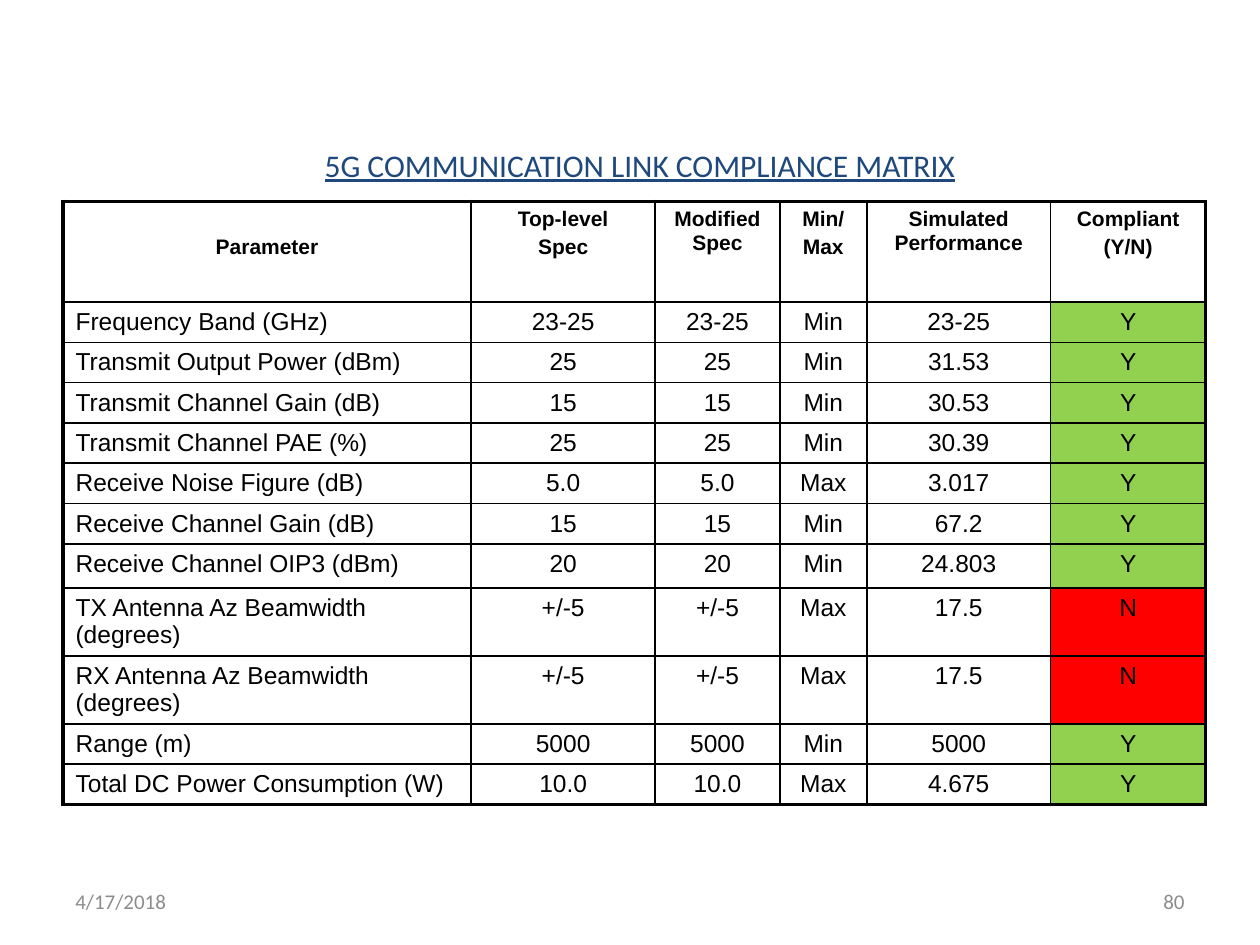
from typing import Any, NamedTuple

from lxml.etree import SubElement as Sub
from pptx import Presentation as Deck
from pptx.dml.color import RGBColor as Rgb
from pptx.enum.text import MSO_ANCHOR as Anchor, PP_ALIGN as Align
from pptx.oxml.ns import qn
from pptx.util import Inches, Pt

BLACK = Rgb(0x00, 0x00, 0x00)
NAVY = Rgb(0x1F, 0x49, 0x7D)
GRAY = Rgb(0x8C, 0x8C, 0x8C)
GREEN = Rgb(0x92, 0xD0, 0x50)
RED = Rgb(0xFF, 0x00, 0x00)

WIDE, HIGH = Inches(10), Inches(7.5)
COLS = (3.24, 1.46, 0.99, 0.69, 1.46, 1.23)
ROWS = (0.8, *[0.32] * 6, 0.35, 0.54, 0.54, 0.32, 0.32)
THIN, THICK = Pt(1), Pt(2.25)

TITLE = {"size": Pt(18), "name": "Calibri", "underline": True}
FOOT = {"size": Pt(12), "name": "Calibri"}
HEAD = {"size": Pt(12), "name": "Arial", "bold": True}
BODY = {"size": Pt(14), "name": "Arial", "bold": False}
INSET = {"margin_left": Inches(0.1), "margin_right": Inches(0.1),
         "margin_top": Inches(0.05), "margin_bottom": Inches(0.05)}


class Box(NamedTuple):
    left: float
    top: float
    width: float
    height: float

    def place(self) -> tuple[int, ...]:
        sides = (WIDE, HIGH, WIDE, HIGH)
        return tuple(round(part * side) for part, side in zip(self, sides))


class Spec(NamedTuple):
    name: str
    goal: str
    limit: str
    result: str
    passed: str = "Y"

    def cells(self) -> tuple[str, ...]:
        return (self.name, self.goal, self.goal, self.limit,
                self.result, self.passed)


class Note(NamedTuple):
    text: str
    box: Box
    align: Any


LABELS = ("Parameter", "Top-level\nSpec", "Modified Spec", "Min/\nMax",
          "Simulated Performance", "Compliant\n(Y/N)")
SPECS = (
    Spec("Frequency Band (GHz)", "23-25", "Min", "23-25"),
    Spec("Transmit Output Power (dBm)", "25", "Min", "31.53"),
    Spec("Transmit Channel Gain (dB)", "15", "Min", "30.53"),
    Spec("Transmit Channel PAE (%)", "25", "Min", "30.39"),
    Spec("Receive Noise Figure (dB)", "5.0", "Max", "3.017"),
    Spec("Receive Channel Gain (dB)", "15", "Min", "67.2"),
    Spec("Receive Channel OIP3 (dBm)", "20", "Min", "24.803"),
    Spec("TX Antenna Az Beamwidth (degrees)", "+/-5", "Max", "17.5", "N"),
    Spec("RX Antenna Az Beamwidth (degrees)", "+/-5", "Max", "17.5", "N"),
    Spec("Range (m)", "5000", "Min", "5000"),
    Spec("Total DC Power Consumption (W)", "10.0", "Max", "4.675"),
)
NOTES = (
    Note("4/17/2018", Box(0.05, 0.927, 0.233, 0.053), Align.LEFT),
    Note("80", Box(0.717, 0.927, 0.233, 0.053), Align.RIGHT),
)


def apply(item: Any, form: dict[str, Any]) -> None:
    for key, value in form.items():
        setattr(item, key, value)


def write(frame: Any, text: str, form: dict[str, Any], color: Rgb,
          align: Any) -> None:
    frame.text = text
    for num, para in enumerate(frame.paragraphs):
        para.alignment = align
        if num:
            para.space_before = Pt(2.4)
        for run in para.runs:
            apply(run.font, form)
            run.font.color.rgb = color


def border(cell: Any, row: int, col: int) -> None:
    edges = {"lnL": col == 0, "lnR": col == len(COLS) - 1,
             "lnT": row == 0, "lnB": row == len(ROWS) - 1}
    props = cell._tc.get_or_add_tcPr()
    for tag, outer in edges.items():
        line = Sub(props, qn(f"a:{tag}"), w=str(THICK if outer else THIN))
        fill = Sub(line, qn("a:solidFill"))
        Sub(fill, qn("a:srgbClr"), val=str(BLACK))


def add_matrix(slide: Any, box: Box) -> None:
    frame = slide.shapes.add_table(len(ROWS), len(COLS), *box.place())
    table = frame.table
    apply(table, {"first_row": False, "horz_banding": False})
    for col, width in zip(table.columns, COLS):
        col.width = Inches(width)
    for row, height in zip(table.rows, ROWS):
        row.height = Inches(height)
    lines = (LABELS, *[spec.cells() for spec in SPECS])
    for row, line in enumerate(lines):
        for col, text in enumerate(line):
            cell = table.cell(row, col)
            apply(cell, INSET)
            border(cell, row, col)
            left = row > 0 and col == 0
            write(cell.text_frame, text, BODY if row else HEAD, BLACK,
                  Align.LEFT if left else Align.CENTER)
            if row and col == len(COLS) - 1:
                cell.fill.solid()
                cell.fill.fore_color.rgb = GREEN if text == "Y" else RED
            else:
                cell.fill.background()
    table.cell(0, 0).margin_top = Inches(0.27)


def add_title(slide: Any, text: str, box: Box) -> None:
    title = slide.shapes.title
    spots = ("left", "top", "width", "height")
    apply(title, dict(zip(spots, box.place())))
    title.text_frame.vertical_anchor = Anchor.MIDDLE
    write(title.text_frame, text, TITLE, NAVY, Align.CENTER)


def add_note(slide: Any, note: Note) -> None:
    frame = slide.shapes.add_textbox(*note.box.place()).text_frame
    apply(frame, {"word_wrap": True, "vertical_anchor": Anchor.MIDDLE})
    write(frame, note.text, FOOT, GRAY, note.align)


def main() -> None:
    deck = Deck()
    apply(deck, {"slide_width": WIDE, "slide_height": HIGH})
    slide = deck.slides.add_slide(deck.slide_layouts[5])
    add_title(slide, "5G COMMUNICATION LINK COMPLIANCE MATRIX",
              Box(0.058, 0.101, 0.9, 0.147))
    add_matrix(slide, Box(0.05, 0.213, 0.908, 0.664))
    for note in NOTES:
        add_note(slide, note)
    deck.save("out.pptx")


if __name__ == "__main__":
    main()
